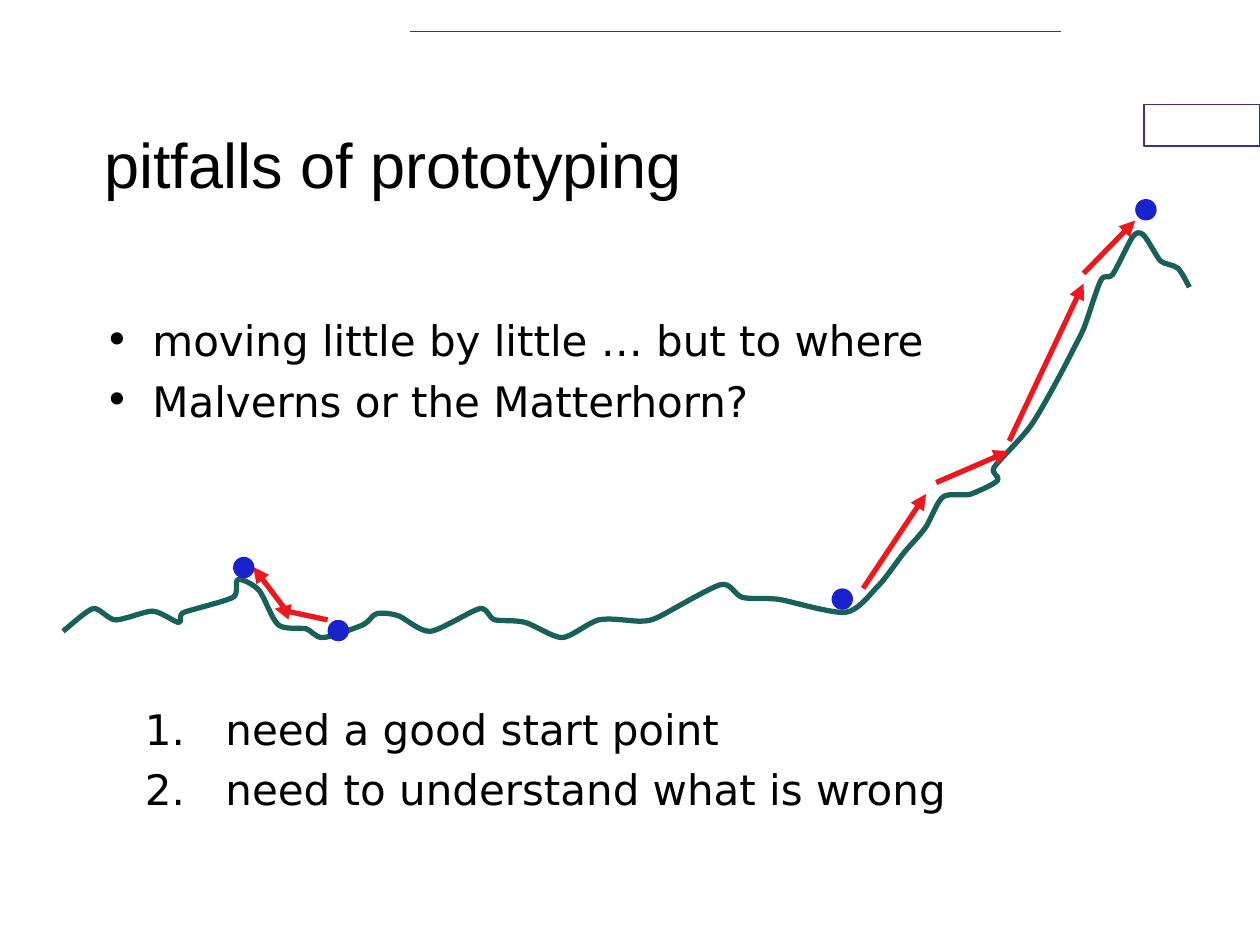
from lxml import etree
from pptx import Presentation
from pptx import util as u
from pptx.dml.color import RGBColor
from pptx.enum import shapes, text
from pptx.oxml.ns import qn

PX = 9144  # 100 px to the inch
RULE, RIDGE, ARROW, BALL = "333399", "18605A", "ED181E", "1822CD"


def color(value):
    return RGBColor.from_string(value)


def add_text(page, lines, left, top, width, height, font="DejaVu Sans", size=24,
             anchor=text.MSO_ANCHOR.TOP, inset=0, before=0, bullet=None,
             margin=0, hanging=0):
    """Add a text box; bullet is a tag name with its attributes."""
    box = page.shapes.add_textbox(left * PX, top * PX, width * PX, height * PX)
    frame = box.text_frame
    frame.word_wrap = True
    frame.vertical_anchor = anchor
    frame.margin_left = frame.margin_right = 8 * PX
    frame.margin_top = frame.margin_bottom = inset * PX
    for number, line in enumerate(lines):
        para = frame.paragraphs[0] if number == 0 else frame.add_paragraph()
        para.space_before = u.Pt(before)
        span = para.add_run()
        span.text = line
        span.font.name, span.font.size = font, u.Pt(size)
        span.font.color.rgb = color("000000")
        if bullet:
            tag, attributes = bullet
            props = para._p.get_or_add_pPr()
            props.set("marL", str(margin * PX))
            props.set("indent", str(-hanging * PX))
            etree.SubElement(props, qn("a:buFont"), typeface=font)
            etree.SubElement(props, qn(tag), attributes)


deck = Presentation()
deck.slide_width, deck.slide_height = 1000 * PX, 750 * PX
page = deck.slides.add_slide(deck.slide_layouts[6])

# Frame marks
tab = page.shapes.add_shape(shapes.MSO_SHAPE.RECTANGLE, 908 * PX, 83 * PX, 92 * PX, 33 * PX)
tab.shadow.inherit = False
tab.fill.solid()
tab.fill.fore_color.rgb = color("FFFFFF")
tab.line.color.rgb = color(RULE)
tab.line.width = u.Pt(0.75)

# Wording
add_text(page, ["pitfalls of prototyping"], 75, 67, 750, 125, font="Arial", size=36,
         anchor=text.MSO_ANCHOR.MIDDLE, inset=4)
add_text(page, ["moving little by little … but to where", "Malverns or the Matterhorn?"],
         75, 250, 850, 133, before=5.6, bullet=("a:buChar", {"char": "•"}),
         margin=38, hanging=38)
add_text(page, ["need a good start point", "need to understand what is wrong"],
         75, 558, 850, 108, before=5.6, bullet=("a:buAutoNum", {"type": "arabicPeriod"}),
         margin=96, hanging=64)

# Mountain ridge: a smooth curve through its turning points
turns = [
    (50, 501), (74, 483), (92, 492), (121, 485), (142, 494), (146, 486), (185, 474),
    (189, 460), (206, 469), (221, 496), (243, 499), (256, 506), (288, 496), (299, 487),
    (317, 489), (342, 501), (381, 483), (393, 492), (417, 494), (446, 506), (475, 492),
    (507, 493), (524, 489), (572, 464), (589, 474), (620, 476), (671, 486), (697, 465),
    (718, 438), (735, 418), (749, 394), (771, 392), (792, 381), (789, 371), (818, 338),
    (850, 281), (860, 261), (874, 222), (883, 218), (899, 188), (907, 186), (921, 207),
    (935, 213), (944, 228),
]
handles = []
padded = [turns[0], *turns, turns[-1]]
for before, here, there, after in zip(padded, padded[1:], padded[2:], padded[3:]):
    handles += [
        tuple(h + (t - b) / 8 for b, h, t in zip(before, here, there)),
        tuple(t - (a - h) / 8 for h, t, a in zip(here, there, after)),
        there,
    ]
builder = page.shapes.build_freeform(*turns[0], scale=PX)
builder.add_line_segments(handles, close=False)
ridge = builder.convert_to_shape()
ridge.shadow.inherit = False
ridge.fill.background()
ridge.line.color.rgb = color(RIDGE)
ridge.line.width = u.Pt(3)
# Join each three straight segments into one Bézier curve
segments = list(ridge._element.iter(qn("a:lnTo")))
for first in range(0, len(segments), 3):
    curve = etree.Element(qn("a:cubicBezTo"))
    segments[first].addprevious(curve)
    for segment in segments[first:first + 3]:
        curve.append(segment[0])
        segment.getparent().remove(segment)

# Top rule, then the steps up each hill
lines = [
    (325, 25, 842, 25, RULE, 1),
    (260, 492, 218, 483, ARROW, 3),
    (226, 483, 201, 450, ARROW, 3),
    (685, 467, 735, 392, ARROW, 3),
    (743, 383, 801, 358, ARROW, 3),
    (801, 350, 860, 225, ARROW, 3),
    (860, 217, 901, 175, ARROW, 3),
]
for x1, y1, x2, y2, ink, weight in lines:
    line = page.shapes.add_connector(shapes.MSO_CONNECTOR.STRAIGHT,
                                     x1 * PX, y1 * PX, x2 * PX, y2 * PX)
    line.line.color.rgb = color(ink)
    line.line.width = u.Pt(weight)
    if ink == ARROW:
        etree.SubElement(line._element.spPr.find(qn("a:ln")), qn("a:tailEnd"), type="triangle")
    etree.SubElement(line._element.spPr, qn("a:effectLst"))

# Start and end points
for left, top in [(260, 492), (185, 442), (660, 467), (901, 158)]:
    ball = page.shapes.add_shape(shapes.MSO_SHAPE.OVAL, left * PX, top * PX, 17 * PX, 17 * PX)
    ball.shadow.inherit = False
    ball.fill.solid()
    ball.fill.fore_color.rgb = color(BALL)
    ball.line.fill.background()

deck.save("out.pptx")
